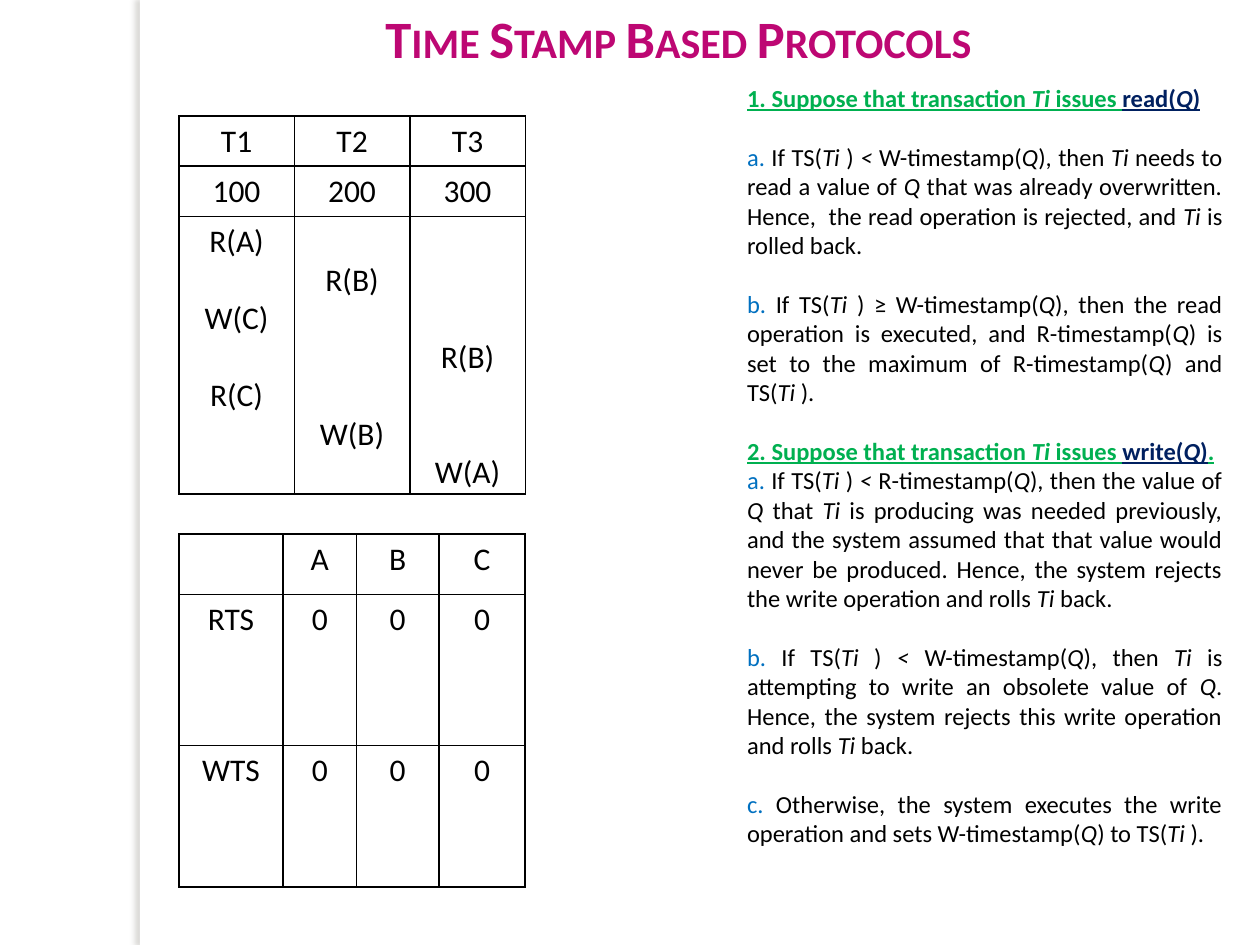
from lxml.etree import SubElement
from pptx import Presentation
from pptx.dml.color import RGBColor
from pptx.enum.shapes import MSO_SHAPE
from pptx.enum.text import MSO_ANCHOR, MSO_AUTO_SIZE, PP_ALIGN
from pptx.oxml import parse_xml
from pptx.oxml.ns import nsdecls, qn
from pptx.util import Pt

FONT = "Calibri"
BLACK = RGBColor(0x00, 0x00, 0x00)
WHITE = RGBColor(0xFF, 0xFF, 0xFF)
MAGENTA = RGBColor(0xBD, 0x07, 0x73)
GREEN = RGBColor(0x00, 0xB0, 0x50)
NAVY = RGBColor(0x00, 0x20, 0x60)
BLUE = RGBColor(0x00, 0x70, 0xC0)
TABLE_LINE = 22
RULE_LINE = 16.8


def add_text(para, text, size=14, color=BLACK, bold=False, underline=False):
    """Add text to a paragraph; parts between asterisks are italic."""
    for index, part in enumerate(text.split("*")):
        if part:
            span = para.add_run()
            span.text = part
            span.font.name = FONT
            span.font.size = Pt(size)
            span.font.color.rgb = color
            span.font.bold = bold
            span.font.underline = underline
            span.font.italic = index % 2 == 1


def add_borders(cell):
    properties = cell._tc.get_or_add_tcPr()
    for side in ("lnL", "lnR", "lnT", "lnB"):
        line = SubElement(properties, qn(f"a:{side}"), w=str(Pt(1)))
        fill = SubElement(line, qn("a:solidFill"))
        SubElement(fill, qn("a:srgbClr"), val=str(BLACK))


deck = Presentation()
deck.slide_width, deck.slide_height = Pt(720), Pt(540)
page = deck.slides.add_slide(deck.slide_layouts[5])

# Side band with a soft shadow to its left
band = page.shapes.add_shape(MSO_SHAPE.RECTANGLE, Pt(80), Pt(0), Pt(5.7), Pt(540))
band.fill.solid()
band.fill.fore_color.rgb = WHITE
band.line.fill.background()
band._element.spPr.append(parse_xml(
    f'<a:effectLst {nsdecls("a")}><a:outerShdw blurRad="{Pt(3)}" dist="{Pt(3)}" dir="10800000">'
    '<a:srgbClr val="736F63"><a:alpha val="25000"/></a:srgbClr></a:outerShdw></a:effectLst>'))

# Title
title = page.shapes.title
title.left, title.top, title.width, title.height = Pt(109.4), Pt(0), Pt(556.6), Pt(43.9)
title.text_frame.vertical_anchor = MSO_ANCHOR.TOP
title.text_frame.auto_size = MSO_AUTO_SIZE.SHAPE_TO_FIT_TEXT
para = title.text_frame.paragraphs[0]
para.alignment = PP_ALIGN.CENTER
add_text(para, "Time Stamp Based Protocols", size=30, color=MAGENTA, bold=True)
para.runs[0].font._element.set("cap", "small")

# Protocol rules: lines of space before, heading or item label, text, end of a heading
RULES = [
    (0, "1. Suppose that transaction *Ti *issues ", "read(*Q*)", ""),
    (1, "a. ", "If TS(*Ti *) *< *W-timestamp(*Q*), then *Ti *needs to read a value of *Q *that was "
     "already overwritten. Hence,  the read operation is rejected, and *Ti *is rolled back.", ""),
    (1, "b. ", "If TS(*Ti *) ≥ W-timestamp(*Q*), then the read operation is executed, and "
     "R-timestamp(*Q*) is set to the maximum of R-timestamp(*Q*) and TS(*Ti *).", ""),
    (1, "2. Suppose that transaction *Ti *issues ", "write(*Q*)", "."),
    (0, "a. ", "If TS(*Ti *) *< *R-timestamp(*Q*), then the value of *Q *that *Ti *is producing was "
     "needed previously, and the system assumed that that value would never be produced. "
     "Hence, the system rejects the write operation and rolls *Ti *back.", ""),
    (1, "b. ", "If TS(*Ti *) *< *W-timestamp(*Q*), then *Ti *is attempting to write an obsolete "
     "value of *Q*. Hence, the system rejects this write operation and rolls *Ti *back.", ""),
    (1, "c. ", "Otherwise, the system executes the write operation and sets "
     "W-timestamp(*Q*) to TS(*Ti *).", ""),
]
box = page.shapes.add_textbox(Pt(419.8), Pt(43.9), Pt(285.8), Pt(482.4))
frame = box.text_frame
frame.word_wrap = True
frame.auto_size = MSO_AUTO_SIZE.SHAPE_TO_FIT_TEXT
for index, (gap, label, text, ending) in enumerate(RULES):
    para = frame.add_paragraph() if index else frame.paragraphs[0]
    para.alignment = PP_ALIGN.JUSTIFY
    if gap:
        para.space_before = Pt(gap * RULE_LINE)
    heading = label[0].isdigit()
    style = {"bold": heading, "underline": heading}
    add_text(para, label, color=GREEN if heading else BLUE, **style)
    add_text(para, text, color=NAVY if heading else BLACK, **style)
    add_text(para, ending, color=GREEN, **style)

# Tables: top, column widths, row heights, cells; an empty line in a cell is a time step
SCHEDULE = [
    ["T1", "T2", "T3"],
    ["100", "200", "300"],
    ["R(A)\n\nW(C)\n\nR(C)", "\nR(B)\n\n\n\nW(B)", "\n\n\nR(B)\n\n\nW(A)"],
]
TIMESTAMPS = [["", "A", "B", "C"], ["RTS", "0", "0", "0"], ["WTS", "0", "0", "0"]]
TABLES = [
    (66.2, [66, 66, 66], [28.8, 28.8, 158.4], SCHEDULE),
    (305.2, [59.6, 42, 47, 49.4], [34.5, 86.3, 80.8], TIMESTAMPS),
]
for top, widths, heights, rows in TABLES:
    holder = page.shapes.add_table(len(heights), len(widths), Pt(102.2), Pt(top),
                                   Pt(sum(widths)), Pt(sum(heights)))
    table = holder.table
    table.first_row = table.horz_banding = False
    for column, width in zip(table.columns, widths):
        column.width = Pt(width)
    for row, height, texts in zip(table.rows, heights, rows):
        row.height = Pt(height)
        for cell, text in zip(row.cells, texts):
            add_borders(cell)
            cell.fill.background()
            cell.margin_top, cell.margin_bottom = Pt(3.6), Pt(1)
            gap, first = 0, True
            for line in text.split("\n"):
                if not line:
                    gap += TABLE_LINE
                    continue
                if first:
                    para = cell.text_frame.paragraphs[0]
                    cell.margin_top = Pt(3.6 + gap)
                else:
                    para = cell.text_frame.add_paragraph()
                    para.space_before = Pt(gap)
                para.alignment = PP_ALIGN.CENTER
                add_text(para, line, size=18)
                gap, first = 0, False

deck.save("out.pptx")
